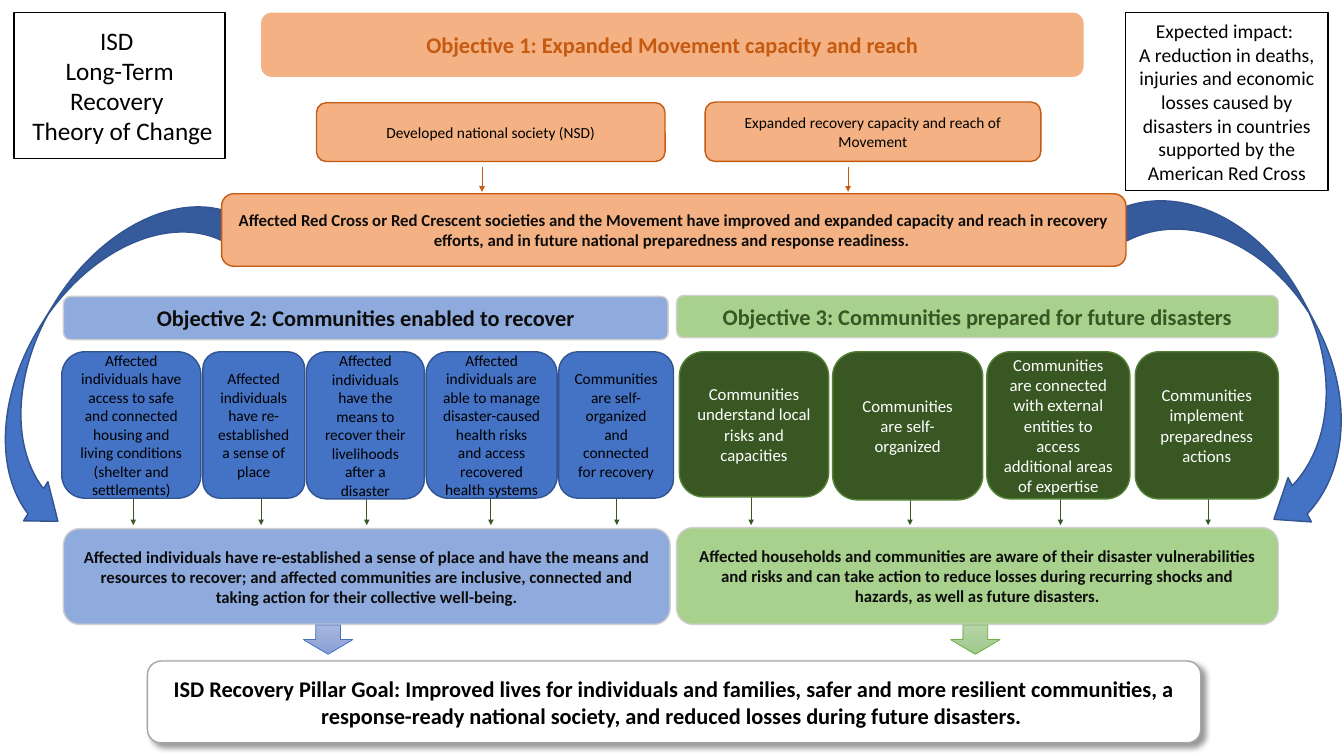
from lxml import etree
from pptx import Presentation
from pptx.dml.color import RGBColor
from pptx.enum.shapes import MSO_CONNECTOR, MSO_SHAPE
from pptx.enum.text import MSO_ANCHOR, PP_ALIGN
from pptx.oxml.ns import qn
from pptx.util import Pt

# Each box style: fill, line, text colour, type size, bold
THEME = {
    "font": "Calibri",
    "note": ("FFFFFF", "000000", "000000", 18, False),
    "impact": ("FFFFFF", "000000", "000000", 14, False),
    "capacity title": ("F4B183", None, "C55A11", 16, True),
    "capacity step": ("F4B183", "C55A11", "000000", 11, False),
    "capacity result": ("F4B183", "C55A11", "0D0D0D", 12, True),
    "recovery title": ("8FAADC", "D0CECE", "0D0D0D", 16, True),
    "recovery step": ("4472C4", "325491", "000000", 11, False),
    "recovery result": ("8FAADC", "D0CECE", "0D0D0D", 12, True),
    "readiness title": ("A9D18E", "D0CECE", "385723", 16, True),
    "readiness step": ("385723", "548235", "FFFFFF", 12, False),
    "readiness result": ("A9D18E", "D0CECE", "0D0D0D", 12, True),
    "goal": ("FFFFFF", "A5A5A5", "000000", 16, True),
    "sweep": ("4472C4", "325491", "FFFFFF", 12, False),
    "recovery arrow": ("9AABD9", "4472C4", "FFFFFF", 12, False),
    "readiness arrow": ("AACE9A", "70AD47", "FFFFFF", 12, False),
    "recovery gradient": ("A8B7DF", "9AABD9", "889ED7"),
    "readiness gradient": ("B5D5A7", "AACE9A", "9CC987"),
    "capacity connector": "C55A11",
    "step connector": "385723",
}

presentation = Presentation()
presentation.slide_width, presentation.slide_height = Pt(960), Pt(540)
slide = presentation.slides.add_slide(presentation.slide_layouts[6])


def add_box(frame, style, text="", kind=MSO_SHAPE.ROUNDED_RECTANGLE):
    fill, line, color, size, bold = THEME[style]
    shape = slide.shapes.add_shape(kind, *[Pt(length) for length in frame])
    shape.shadow.inherit = False
    shape.fill.solid()
    shape.fill.fore_color.rgb = RGBColor.from_string(fill)
    if line:
        shape.line.color.rgb = RGBColor.from_string(line)
        shape.line.width = Pt(1)
    else:
        shape.line.fill.background()
    if text:
        text_frame = shape.text_frame
        text_frame.text = text
        text_frame.word_wrap = True
        text_frame.vertical_anchor = MSO_ANCHOR.MIDDLE
        for paragraph in text_frame.paragraphs:
            paragraph.alignment = PP_ALIGN.CENTER
            for run in paragraph.runs:
                run.font.name = THEME["font"]
                run.font.size = Pt(size)
                run.font.bold = bold
                run.font.color.rgb = RGBColor.from_string(color)
    return shape


def add_arrow(x, top, bottom, color):
    connector = slide.shapes.add_connector(
        MSO_CONNECTOR.STRAIGHT, Pt(x), Pt(top), Pt(x), Pt(bottom))
    connector.line.color.rgb = RGBColor.from_string(color)
    connector.line.width = Pt(0.5)
    etree.SubElement(connector.line._get_or_add_ln(), qn("a:tailEnd"),
                     type="triangle", w="sm", len="sm")
    etree.SubElement(connector._element.spPr, qn("a:effectLst"))


# Sweeping arrows from the capacity result down to both sides
for frame, rotation, flipped in [((763.9, 202.3, 265.7, 91.4), 242.2, True),
                                 ((-67, 207.4, 270, 84.2), 121.8, False)]:
    sweep = add_box(frame, "sweep", kind=MSO_SHAPE.CURVED_UP_ARROW)
    for index, value in enumerate((0.25, 0.392, 0.25)):
        sweep.adjustments[index] = value
    sweep.rotation = rotation
    if flipped:
        sweep._element.spPr.find(qn("a:xfrm")).set("flipH", "1")

# Corner notes
add_box((10.1, 8.8, 150.8, 104.4), "note",
        "ISD \nLong-Term\nRecovery \n Theory of Change", MSO_SHAPE.RECTANGLE)
add_box((804, 9, 144.7, 127.2), "impact",
        "Expected impact: \nA reduction in deaths, injuries and economic losses caused by "
        "disasters in countries supported by the American Red Cross", MSO_SHAPE.RECTANGLE)

# Objective 1
add_box((186.5, 9, 587.5, 45.9), "capacity title",
        "Objective 1: Expanded Movement capacity and reach")
add_box((226.1, 73.4, 249, 42), "capacity step", "Developed national society (NSD)")
add_box((503.7, 72.9, 239.8, 42.4), "capacity step",
        "Expanded recovery capacity and reach of Movement")
add_box((158.3, 138.4, 646, 51.8), "capacity result",
        "Affected Red Cross or Red Crescent societies and the Movement have improved and "
        "expanded capacity and reach in recovery efforts, and in future national "
        "preparedness and response readiness. ")
for x in (344.3, 605.8):
    add_arrow(x, 119, 137, THEME["capacity connector"])

# Objectives 2 and 3: title, row of steps, result, block arrow to the goal
# Each step: left, width, height, arrow x, arrow top (tucked behind the box), text
objectives = [
    ("recovery", (45.3, 211.7, 432, 31), "Objective 2: Communities enabled to recover",
     [(44.1, 99.4, 104.6, 95.2, 355.7, "Affected individuals have access to safe and "
       "connected housing and living conditions (shelter and settlements)"),
      (144.9, 72.8, 104.6, 186.5, 333.4,
       "Affected individuals have re-established a sense of place"),
      (218.9, 84.3, 105.1, 262, 308.9, "Affected individuals have the means to recover "
       "their livelihoods after a disaster"),
      (304.4, 93.6, 104.6, 350.6, 346.3, "Affected individuals are able to manage "
       "disaster-caused health risks and access recovered health systems"),
      (399.1, 82, 104.6, 440.6, 346.3,
       "Communities are self-organized and connected for recovery")],
     (45.3, 377.6, 433.4, 68.4),
     "Affected individuals have re-established a sense of place and have the means and "
     "resources to recover; and affected communities are inclusive, connected and taking "
     "action for their collective well-being.", 216.7),
    ("readiness", (483.3, 211.1, 429.8, 30.2),
     "Objective 3: Communities prepared for future disasters",
     [(485.3, 106.6, 103.7, 536.5, 321.8,
       "Communities understand local risks and capacities"),
      (594.7, 107.3, 105.8, 650, 340.6, "Communities are self-organized"),
      (704.9, 102.2, 105.1, 757.5, 316.8, "Communities are connected with external "
       "entities to access additional areas of expertise"),
      (810.9, 102.2, 105.1, 863, 340.6, "Communities implement preparedness actions")],
     (483.3, 376.9, 429.8, 69.1),
     "Affected households and communities are aware of their disaster vulnerabilities and "
     "risks and can take action to reduce losses during recurring shocks and hazards, as "
     "well as future disasters.", 679),
]
for name, title_frame, title, steps, result_frame, result, arrow_left in objectives:
    add_box(title_frame, name + " title", title)
    for left, width, height, arrow_x, arrow_top, text in steps:
        add_arrow(arrow_x, arrow_top, 375.1, THEME["step connector"])
        add_box((left, 251.3, width, height), name + " step", text)
    add_box(result_frame, name + " result", result)

    block_arrow = add_box((arrow_left, 446.4, 35.3, 20.9), name + " arrow",
                          kind=MSO_SHAPE.DOWN_ARROW)
    block_arrow.line.width = Pt(0.5)
    block_arrow.rotation = 180
    properties = block_arrow._element.spPr
    properties.find(qn("a:xfrm")).set("flipV", "1")
    gradient = etree.Element(qn("a:gradFill"), rotWithShape="1")
    stops = etree.SubElement(gradient, qn("a:gsLst"))
    for index, color in enumerate(THEME[name + " gradient"]):
        stop = etree.SubElement(stops, qn("a:gs"), pos=str(index * 50000))
        etree.SubElement(stop, qn("a:srgbClr"), val=color)
    etree.SubElement(gradient, qn("a:lin"), ang="5400000", scaled="0")
    properties.replace(properties.find(qn("a:solidFill")), gradient)

# Goal with a soft shadow
goal = add_box((105.3, 472.2, 752.4, 58.5), "goal",
               "ISD Recovery Pillar Goal: Improved lives for individuals and families, safer "
               "and more resilient communities, a response-ready national society, and "
               "reduced losses during future disasters. ")
shadow = etree.SubElement(
    goal._element.spPr.find(qn("a:effectLst")), qn("a:outerShdw"), blurRad=str(Pt(4)),
    dist=str(Pt(3)), dir="2700000", algn="tl", rotWithShape="0")
shadow_color = etree.SubElement(shadow, qn("a:srgbClr"), val="000000")
etree.SubElement(shadow_color, qn("a:alpha"), val="40000")

presentation.save("out.pptx")
